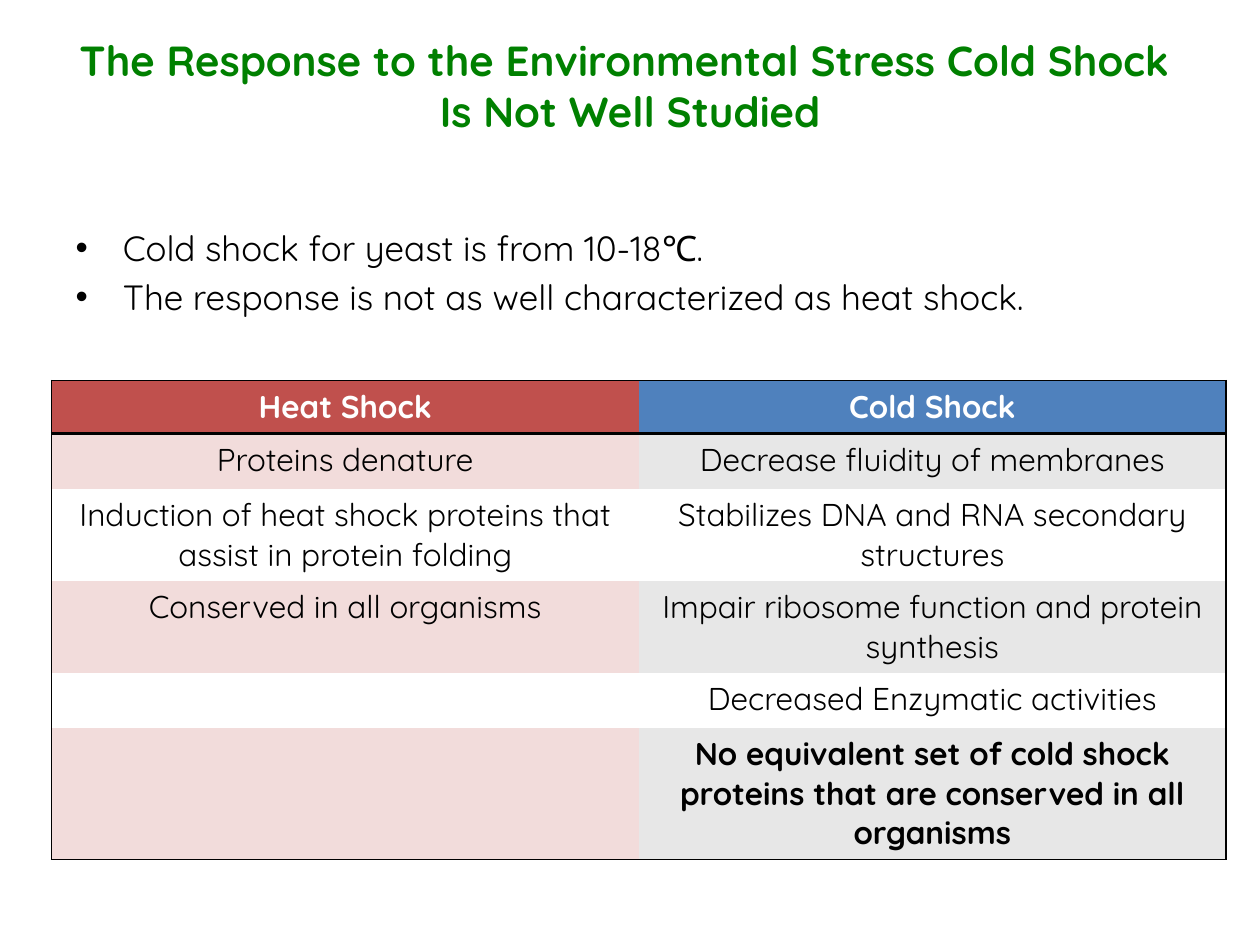
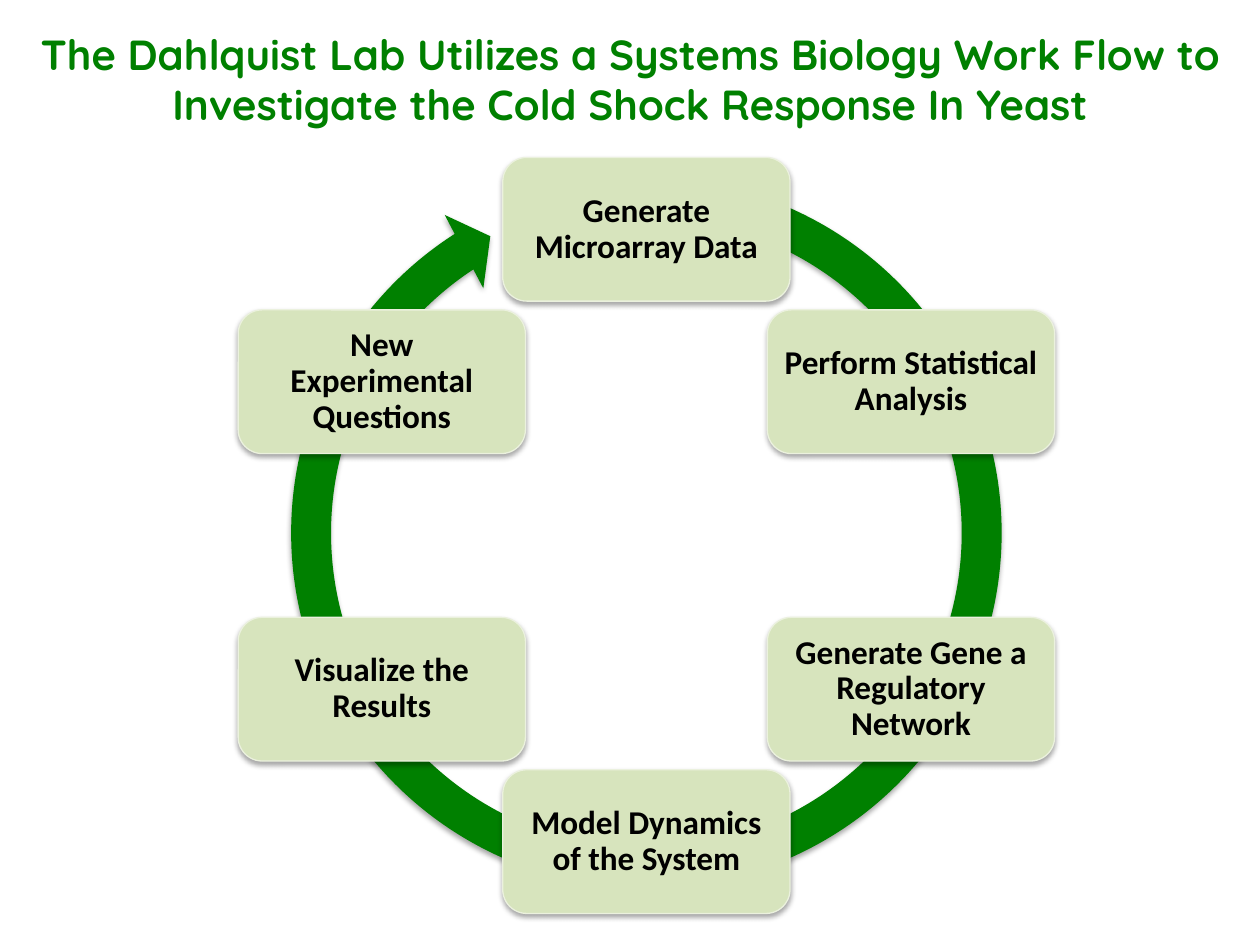
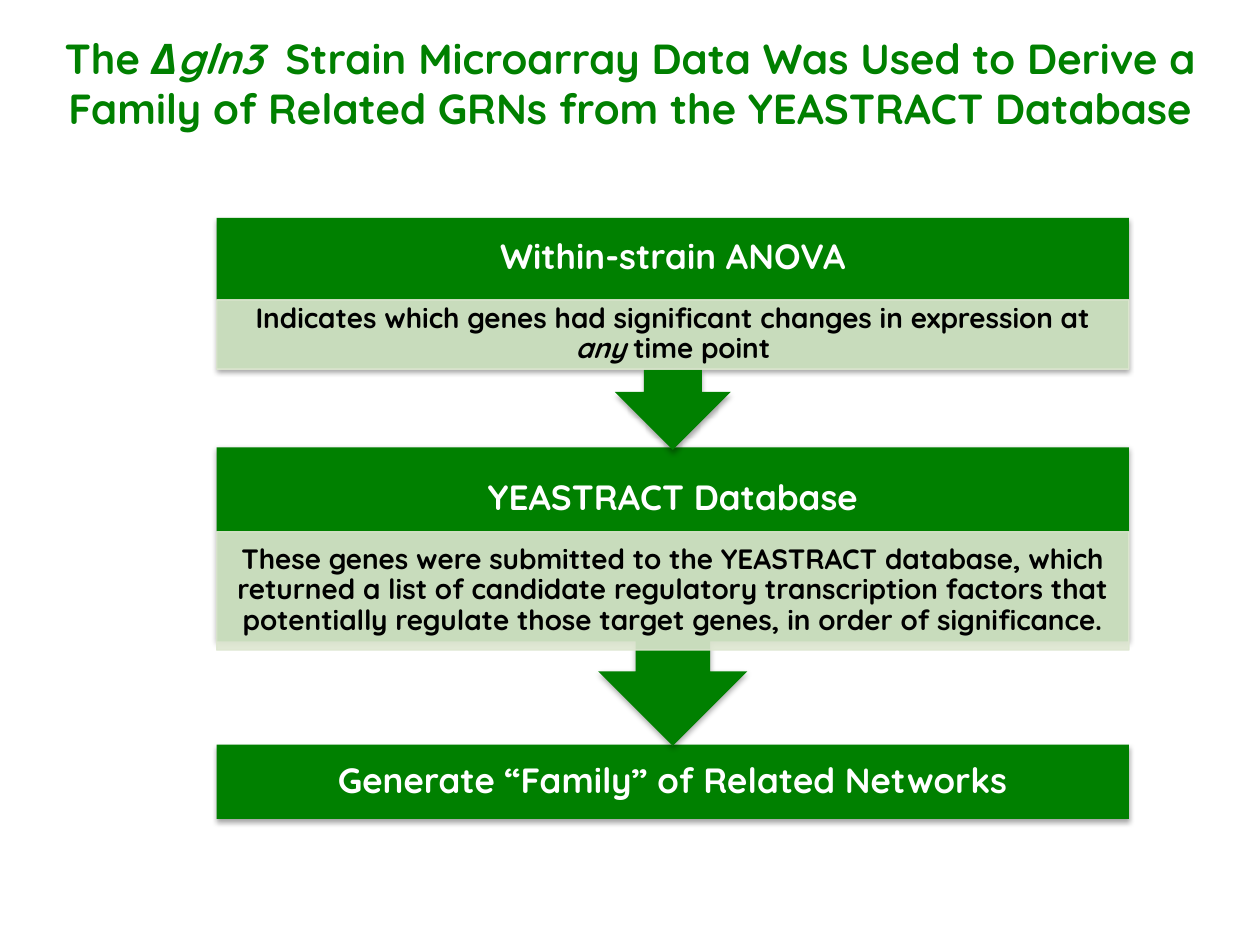
import copy
import math

import pptx
import pptx.dml.color
import pptx.enum.shapes
import pptx.enum.text
import pptx.oxml
import pptx.oxml.ns
import pptx.util

PX = 9144  # EMU in one px, 100 px to the inch
SHAPES = pptx.enum.shapes.MSO_SHAPE
ANCHOR = pptx.enum.text.MSO_ANCHOR
CENTER = pptx.enum.text.PP_ALIGN.CENTER

GREEN, BLACK, WHITE = "008000", "000000", "FFFFFF"
LEAF, LEAF_EDGE, PALE = "D7E4BD", "EBF1DE", "DEE7D1"
RED, BLUE, PINK, GREY = "C0504D", "4F81BD", "F2DCDB", "E7E7E7"
NO_GRID_STYLE = "{2D5ABB26-0587-4C30-8999-92F81FD0307C}"
NAMESPACE = pptx.oxml.ns.nsdecls("a")


def text_format(size, color=BLACK, bold=True, name="Quicksand"):
    return {"size": pptx.util.Pt(size), "bold": bold, "name": name, "color": color}


TITLE = text_format(24, GREEN)
BODY = text_format(20, bold=False)
STEP = text_format(19, name="Calibri")
HEADING = text_format(20, WHITE)
DETAIL = text_format(16)
TABLE_HEAD = text_format(18, WHITE)
TABLE_CELL = text_format(18, bold=False)
TABLE_STRONG = text_format(18)


def rgb(value):
    return pptx.dml.color.RGBColor.from_string(value)


def px(*lengths):
    return [round(length) * PX for length in lengths]


class Deck:
    """Holds the shared style and the slide being built."""

    def __init__(self):
        self.presentation = pptx.Presentation()
        self.presentation.slide_width, self.presentation.slide_height = px(1000, 750)
        self.slide = None

    def new_slide(self, layout, title, top):
        self.slide = self.presentation.slides.add_slide(
            self.presentation.slide_layouts[layout])
        shape = self.slide.shapes.title
        self.place(shape, 0, top, 1000, 125)
        self.frame(shape.text_frame, ANCHOR.MIDDLE)
        self.set_text(shape.text_frame.paragraphs[0], title, TITLE, CENTER)

    def place(self, shape, *box):
        for side, length in zip(("left", "top", "width", "height"), px(*box)):
            setattr(shape, side, length)

    def frame(self, text_frame, anchor, horizontal=10, vertical=5):
        across, down = px(horizontal, vertical)
        values = {
            "word_wrap": True, "auto_size": pptx.enum.text.MSO_AUTO_SIZE.NONE,
            "vertical_anchor": anchor, "margin_left": across,
            "margin_right": across, "margin_top": down, "margin_bottom": down}
        for attribute, value in values.items():
            setattr(text_frame, attribute, value)

    def set_text(self, paragraph, pieces, style, alignment=None, line_spacing=None):
        """Pieces are a string or a list of (text, italic); a line feed breaks the line."""
        paragraph.alignment = alignment
        paragraph.line_spacing = line_spacing
        if isinstance(pieces, str):
            pieces = [(pieces, None)]
        for text, italic in pieces:
            for number, line in enumerate(text.split("\n")):
                if number:
                    paragraph.add_line_break()
                    # The break takes the size of the text before it
                    paragraph._p[-1].insert(0, copy.deepcopy(run._r.rPr))
                run = paragraph.add_run()
                run.text = line
                for attribute, value in {**style, "italic": italic}.items():
                    if attribute == "color":
                        run.font.color.rgb = rgb(value)
                    else:
                        setattr(run.font, attribute, value)

    def bullets(self, lines, *box):
        shape = self.slide.placeholders[1]
        self.place(shape, *box)
        self.frame(shape.text_frame, ANCHOR.TOP)
        for number, line in enumerate(lines):
            if number:
                paragraph = shape.text_frame.add_paragraph()
            else:
                paragraph = shape.text_frame.paragraphs[0]
                paragraph.space_before = 0
            self.set_text(paragraph, line, BODY)

    def shape(self, kind, box, fill, line=None, shadow=True, opacity=100):
        shape = self.slide.shapes.add_shape(kind, *px(*box))
        shape.shadow.inherit = False
        shape.fill.solid()
        shape.fill.fore_color.rgb = rgb(fill)
        if line:
            shape.line.color.rgb = rgb(line)
            shape.line.width = pptx.util.Pt(0.75)
        else:
            shape.line.fill.background()
        properties = shape._element.spPr
        if opacity < 100:
            for color in properties.iter(pptx.oxml.ns.qn("a:srgbClr")):
                color.append(pptx.oxml.parse_xml(
                    f'<a:alpha {NAMESPACE} val="{opacity * 1000}"/>'))
        if shadow:
            properties.find(pptx.oxml.ns.qn("a:effectLst")).append(pptx.oxml.parse_xml(
                f'<a:outerShdw {NAMESPACE} blurRad="40000" dist="23000" dir="5400000" '
                f'rotWithShape="0"><a:srgbClr val="{BLACK}"><a:alpha val="35000"/>'
                '</a:srgbClr></a:outerShdw>'))
        return shape

    def label(self, shape, pieces, style, *margins):
        self.frame(shape.text_frame, ANCHOR.MIDDLE, *margins)
        self.set_text(shape.text_frame.paragraphs[0], pieces, style, CENTER, 0.9)

    def text(self, box, pieces, style, *margins):
        self.label(self.slide.shapes.add_textbox(*px(*box)), pieces, style, *margins)

    def border(self, cell, side, points):
        cell._tc.get_or_add_tcPr().append(pptx.oxml.parse_xml(
            f'<a:ln{side} {NAMESPACE} w="{points * 12700}"><a:solidFill>'
            f'<a:srgbClr val="{BLACK}"/></a:solidFill></a:ln{side}>'))

    def table(self, left, top, widths, heights, rows, fills):
        table = self.slide.shapes.add_table(
            len(rows), len(widths),
            *px(left, top, sum(widths), sum(heights))).table
        table._tbl.tblPr[0].text = NO_GRID_STYLE
        for column, width in zip(table.columns, px(*widths)):
            column.width = width
        for row, height in zip(table.rows, px(*heights)):
            row.height = height
        last_row, last_column = len(rows) - 1, len(widths) - 1
        for r, texts in enumerate(rows):
            style = {0: TABLE_HEAD, last_row: TABLE_STRONG}.get(r, TABLE_CELL)
            for c, text in enumerate(texts):
                cell = table.cell(r, c)
                edges = (("L", c == 0, 1), ("R", c == last_column, 1),
                         ("T", r == 0, 1), ("B", r == 0, 2), ("B", r == last_row, 1))
                for side, drawn, points in edges:
                    if drawn:
                        self.border(cell, side, points)
                cell.fill.solid()
                cell.fill.fore_color.rgb = rgb(fills(r, c))
                if text:
                    self.set_text(cell.text_frame.paragraphs[0], text, style, CENTER)


def comparison_slide(deck):
    deck.new_slide(1, "The Response to the Environmental Stress Cold Shock \n"
                      "Is Not Well Studied", 5)
    deck.bullets(["Cold shock for yeast is from 10-18℃.",
                  "The response is not as well characterized as heat shock."],
                 50, 175, 900, 127)
    rows = [
        ("Heat Shock", "Cold Shock"),
        ("Proteins denature", "Decrease fluidity of membranes"),
        ("Induction of heat shock proteins that assist in protein folding",
         "Stabilizes DNA and RNA secondary structures"),
        ("Conserved in all organisms",
         "Impair ribosome function and protein synthesis"),
        ("", "Decreased Enzymatic activities"),
        ("", "No equivalent set of cold shock proteins that are conserved "
             "in all organisms"),
    ]

    def fills(row, column):
        if row == 0:
            return (RED, BLUE)[column]
        return (PINK, GREY)[column] if row % 2 else WHITE

    deck.table(41, 302, [466, 466], [42, 44, 73, 73, 44, 104], rows, fills)


def workflow_slide(deck):
    deck.new_slide(5, "The Dahlquist Lab Utilizes a Systems Biology Work Flow to "
                      "Investigate the Cold Shock Response In Yeast", 0)
    # Ring behind the steps
    ring = deck.shape(SHAPES.CIRCULAR_ARROW, (214, 124, 598, 598), GREEN)
    for number, value in enumerate((5300, 312600, 14223100, 17130000, 5500)):
        ring.adjustments[number] = value / 100000
    # Steps at equal angles, clockwise from the top
    steps = ["Generate Microarray Data", "Perform Statistical Analysis",
             "Generate Gene a Regulatory Network", "Model Dynamics of the System",
             "Visualize the Results", "New Experimental Questions"]
    center_x, center_y, radius, width, height = 513, 425, 243, 228, 114
    for number, step in enumerate(steps):
        angle = 2 * math.pi * number / len(steps)
        left = center_x + radius * math.sin(angle) - width / 2
        top = center_y - radius * math.cos(angle) - height / 2
        box = deck.shape(SHAPES.ROUNDED_RECTANGLE, (left, top, width, height),
                         LEAF, LEAF_EDGE)
        deck.label(box, step, STEP, 8, 8)


def derivation_slide(deck):
    deck.new_slide(5, [("The ", None), ("Δgln3 ", True),
                       (" Strain Microarray Data Was Used to Derive a Family of "
                        "Related GRNs from the YEASTRACT Database", None)], 3)
    left, width = 172, 724
    # Final result
    result = deck.shape(SHAPES.RECTANGLE, (left, 591, width, 59), GREEN)
    deck.label(result, "Generate “Family” of Related Networks", HEADING, 16, 16)
    # Stages from the bottom up, so each arrow lies over the stage below it
    stages = [
        (355, 237, 83, "YEASTRACT Database", 422, 94,
         "These genes were submitted to the YEASTRACT database, which returned a "
         "list of candidate regulatory transcription factors that potentially "
         "regulate those target genes, in order of significance."),
        (173, 184, 64, "Within-strain ANOVA", 238, 55,
         [("Indicates which genes had significant changes in expression at ", None),
          ("any", True), (" time point", None)]),
    ]
    for top, height, heading_height, heading, detail_top, detail_height, detail in stages:
        callout = deck.shape(SHAPES.UP_ARROW_CALLOUT, (left, top, width, height), GREEN)
        callout.rotation = 180
        deck.text((left, top, width, heading_height), heading, HEADING, 16, 16)
        band = deck.shape(SHAPES.RECTANGLE, (left, detail_top, width, detail_height),
                          PALE, PALE, shadow=False, opacity=90)
        deck.label(band, detail, DETAIL, 12, 2)


def main():
    deck = Deck()
    comparison_slide(deck)
    workflow_slide(deck)
    derivation_slide(deck)
    deck.presentation.save("out.pptx")


if __name__ == "__main__":
    main()
